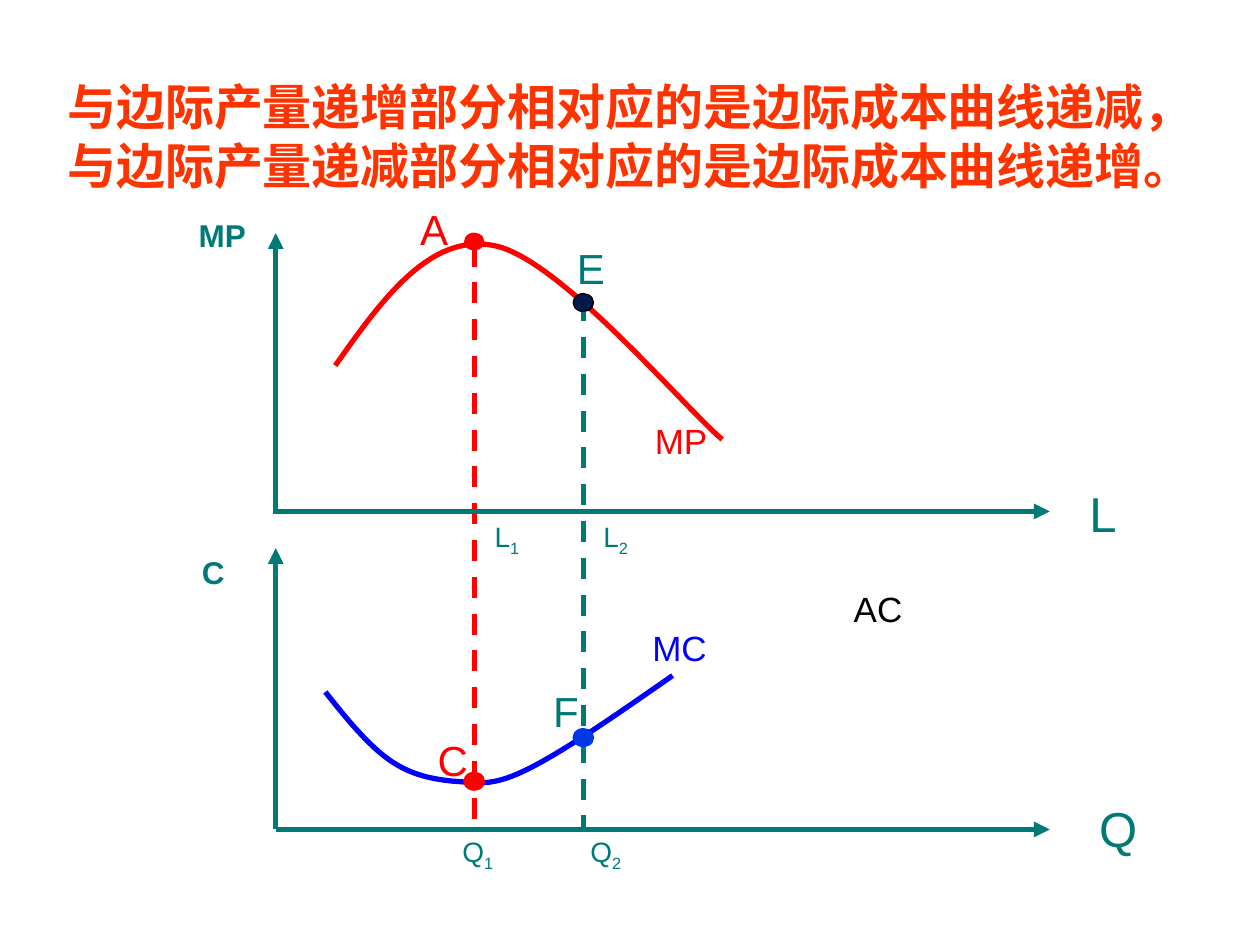
from lxml import etree
from pptx import Presentation
from pptx.dml.color import RGBColor
from pptx.enum.dml import MSO_LINE
from pptx.enum.shapes import MSO_CONNECTOR, MSO_SHAPE
from pptx.enum.text import MSO_ANCHOR, PP_ALIGN
from pptx.oxml.ns import qn
from pptx.util import Cm, Pt

STRAIGHT = MSO_CONNECTOR.STRAIGHT
OVAL = MSO_SHAPE.OVAL
DASH = MSO_LINE.DASH
MIDDLE, TOP = MSO_ANCHOR.MIDDLE, MSO_ANCHOR.TOP
CENTER, LEFT = PP_ALIGN.CENTER, PP_ALIGN.LEFT

COLORS = {
    "title": "FF3300", "teal": "007A77", "red": "FF0000", "blue": "0000FF",
    "royal": "0039E5", "navy": "00194C", "black": "000000",
}
LATIN, CJK = "Arial", "Noto Sans CJK SC"
PEAK_X, SECOND_X = 4, 6.2
DOT_W, DOT_H = 0.41, 0.36

TITLE = [
    "与边际产量递增部分相对应的是边际成本曲线递减，",
    "与边际产量递减部分相对应的是边际成本曲线递增。",
]

PRODUCT = {
    "box": (5.56, 4.7, 15.6, 5.61),
    "axis_drop": 0.05,
    "curve": [(1.2, 2.67), (2.13, 1.35), (3.1, 0), (4.39, 0.25),
              (5.69, 0.48), (8.23, 3.51), (9, 4.16)],
    "curve_color": "red",
    "dots": [(PEAK_X, 0.17, "red", None), (SECOND_X, 1.4, "navy", "black")],
    "marks": [("A", 3.19, -0.09, 24, "red", False),
              ("E", 6.35, 0.7, 24, "teal", False),
              ("MP", -1.08, 0.04, 18, "teal", True)],
    "ticks": [("L", "1", 4.66), ("L", "2", 6.85)],
    "names": [("MP", 7.39, 3.63, 2.79, 20, "red", True),
              ("L", 16.15, 4.93, 1.07, 28, "teal", False)],
}
COST = {
    "box": (5.56, 11.05, 15.6, 5.67),
    "axis_drop": 0,
    "curve": [(1, 2.9), (1.42, 3.43), (1.85, 3.96), (2.29, 4.27),
              (2.72, 4.57), (3.12, 4.65), (3.58, 4.7), (4.04, 4.72),
              (4.32, 4.83), (5.05, 4.47), (5.79, 4.11), (6.88, 3.35),
              (8, 2.57)],
    "curve_color": "blue",
    "dots": [(PEAK_X, 4.7, "red", "red"), (SECOND_X, 3.82, "royal", "royal")],
    "marks": [("C", 3.57, 4.26, 24, "red", False),
              ("F", 5.85, 3.27, 24, "teal", False),
              ("C", -1.26, 0.47, 18, "teal", True)],
    "ticks": [("Q", "1", 4.07), ("Q", "2", 6.65)],
    "names": [("AC", 11.4, 0.66, 1.6, 20, "black", True),
              ("MC", 7.34, 1.45, 2.41, 20, "blue", True),
              ("Q", 16.35, 4.92, 1.27, 28, "teal", False)],
}


def rgb(name):
    return RGBColor.from_string(COLORS[name])


def add_text(slide, box, paragraphs, size, color, bold=False, font=LATIN):
    frame = slide.shapes.add_textbox(*map(Cm, box)).text_frame
    layout = {"word_wrap": False, "vertical_anchor": MIDDLE,
              "margin_left": 0, "margin_right": 0}
    for key, value in layout.items():
        setattr(frame, key, value)
    for index, (text, subscript) in enumerate(paragraphs):
        paragraph = frame.add_paragraph() if index else frame.paragraphs[0]
        paragraph.alignment = CENTER
        for part, baseline in ((text, None), (subscript, "-25000")):
            if not part:
                continue
            run = paragraph.add_run()
            run.text = part
            style = {"size": Pt(size), "bold": bold, "name": font}
            for key, value in style.items():
                setattr(run.font, key, value)
            run.font.color.rgb = rgb(color)
            properties = run.font._element
            etree.SubElement(properties, qn("a:ea"), typeface=font)
            if baseline:
                properties.set("baseline", baseline)
    return frame


def add_line(slide, start, end, color, arrow=False, dashed=False):
    connector = slide.shapes.add_connector(STRAIGHT, *map(Cm, start + end))
    connector.line.color.rgb = rgb(color)
    connector.line.width = Pt(3)
    if dashed:
        connector.line.dash_style = DASH
    if arrow:
        etree.SubElement(connector.line._get_or_add_ln(), qn("a:tailEnd"),
                         type="triangle")
    etree.SubElement(connector._element.spPr, qn("a:effectLst"))


def add_curve(slide, points, color):
    start, *controls = [(Cm(x), Cm(y)) for x, y in points]
    builder = slide.shapes.build_freeform(*start)
    builder.add_line_segments(controls, close=False)
    curve = builder.convert_to_shape()
    curve.shadow.inherit = False
    curve.fill.background()
    curve.line.color.rgb = rgb(color)
    curve.line.width = Pt(3)
    outline = next(curve._element.iter(qn("a:path")))
    segments = outline.findall(qn("a:lnTo"))
    for first in range(0, len(segments), 3):
        bezier = etree.SubElement(outline, qn("a:cubicBezTo"))
        for segment in segments[first:first + 3]:
            bezier.append(segment[0])
            outline.remove(segment)


def add_dot(slide, x, y, fill, border):
    dot = slide.shapes.add_shape(
        OVAL, *map(Cm, (x - DOT_W / 2, y - DOT_H / 2, DOT_W, DOT_H)))
    dot.shadow.inherit = False
    dot.fill.solid()
    dot.fill.fore_color.rgb = rgb(fill)
    if border:
        dot.line.color.rgb = rgb(border)
        dot.line.width = Pt(0.75)
    else:
        dot.line.fill.background()


def draw_title(slide, box):
    add_text(slide, box, [(line, "") for line in TITLE], 28, "title",
             bold=True, font=CJK)


def draw_guides(slide, box):
    left, top, _, height = box
    for x, y, color in ((SECOND_X, 1.35, "teal"), (PEAK_X, 0.25, "red")):
        add_line(slide, (left + x, top + y), (left + x, top + height), color,
                 dashed=True)


def draw_panel(slide, panel):
    left, top, width, height = panel["box"]
    base = top + height
    add_curve(slide, [(left + x, top + y) for x, y in panel["curve"]],
              panel["curve_color"])
    add_line(slide, (left, base + panel["axis_drop"]), (left, top), "teal",
             arrow=True)
    add_line(slide, (left, base), (left + width, base), "teal", arrow=True)
    for x, y, fill, border in panel["dots"]:
        add_dot(slide, left + x, top + y, fill, border)
    for text, x, y, size, color, bold in panel["marks"]:
        add_text(slide, (left + x - 0.6, top + y - 0.45, 1.2, 0.9),
                 [(text, "")], size, color, bold)
    for text, subscript, x in panel["ticks"]:
        add_text(slide, (left + x - 0.7, top + 5.63, 1.4, 1.07),
                 [(text, subscript)], 16, "teal")
    for text, x, y, name_width, size, color, wrap in panel["names"]:
        frame = add_text(
            slide, (left + x, top + y, name_width, size * 0.04 + 0.3),
            [(text, "")], size, color)
        layout = {"word_wrap": wrap, "vertical_anchor": TOP,
                  "margin_left": Cm(0.25), "margin_right": Cm(0.25)}
        for key, value in layout.items():
            setattr(frame, key, value)
        frame.paragraphs[0].alignment = LEFT


def main():
    deck = Presentation()
    deck.slide_width, deck.slide_height = Cm(25.4), Cm(19.05)
    slide = deck.slides.add_slide(deck.slide_layouts[6])
    left, top, width, _ = PRODUCT["box"]
    bottom = COST["box"][1] + COST["box"][3]
    draw_title(slide, (1.3, 1.33, 22.8, 2.8))
    draw_guides(slide, (left, top, width, bottom - top))
    for panel in (PRODUCT, COST):
        draw_panel(slide, panel)
    deck.save("out.pptx")


if __name__ == "__main__":
    main()
